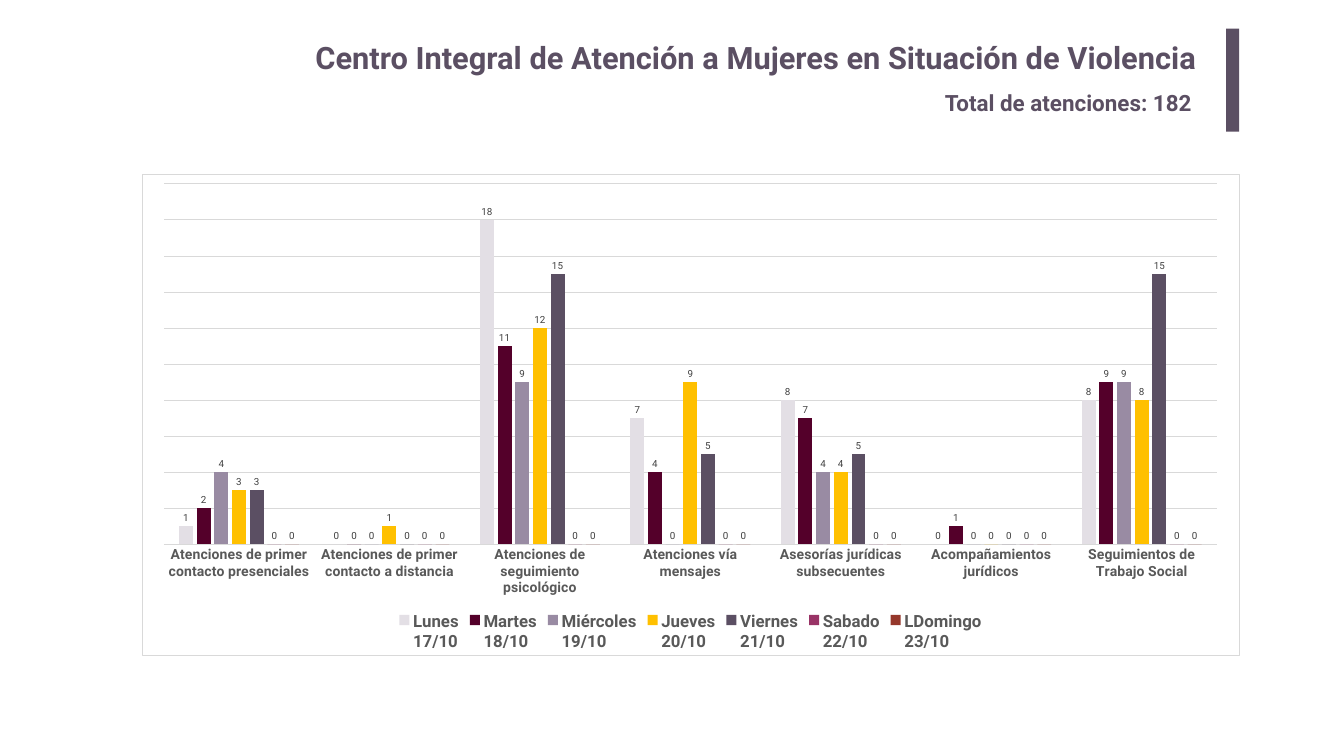
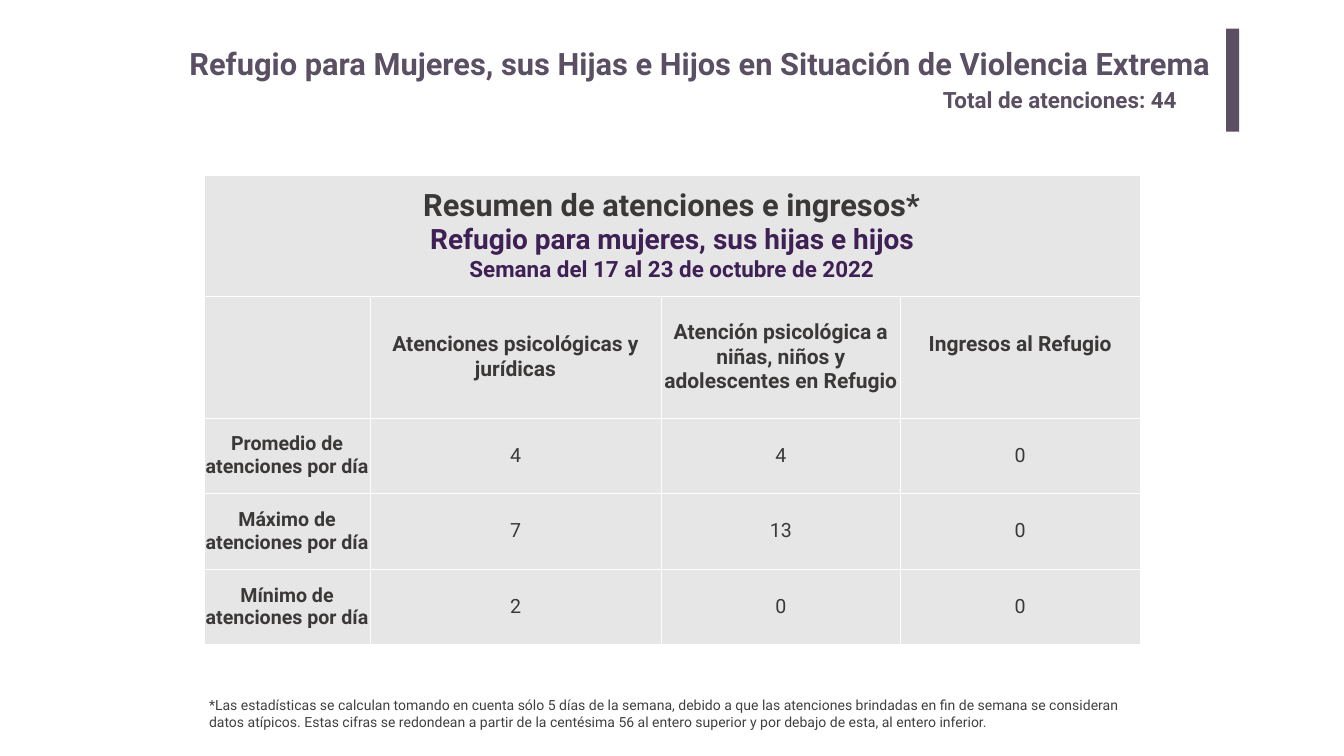
import pptx
import pptx.chart.data
import pptx.dml.color
import pptx.enum.chart
import pptx.enum.shapes
import pptx.enum.text
import pptx.oxml
import pptx.oxml.ns
import pptx.util

EMU_PER_PX = 9144  # 100 px to the inch
FONT = "Roboto"
COLORS = {
    "accent": "5B4F63",
    "rule": "D9D9D9",
    "axis": "595959",
    "note": "404040",
    "white": "FFFFFF",
    "cell": "E7E6E6",
    "ink": "3B3838",
    "purple": "3E2054",
}
DAYS = [
    ("Lunes\n17/10", "E3DFE5", (1, 0, 18, 7, 8, 0, 8)),
    ("Martes\n18/10", "54002A", (2, 0, 11, 4, 7, 1, 9)),
    ("Miércoles\n19/10", "998BA3", (4, 0, 9, 0, 4, 0, 9)),
    ("Jueves\n20/10", "FFC000", (3, 1, 12, 9, 4, 0, 8)),
    ("Viernes\n21/10", "5B4F63", (3, 0, 15, 5, 5, 0, 15)),
    ("Sabado\n22/10", "993366", (0,) * 7),
    ("LDomingo\n23/10", "95372B", (0,) * 7),
]
SERVICES = [
    "Atenciones de primer contacto presenciales",
    "Atenciones de primer contacto a distancia",
    "Atenciones de seguimiento psicológico",
    "Atenciones vía mensajes",
    "Asesorías jurídicas subsecuentes",
    "Acompañamientos jurídicos",
    "Seguimientos de Trabajo Social",
]
SUMMARY_HEADING = [
    ("Resumen de atenciones e ingresos*", 44, "ink"),
    ("Refugio para mujeres, sus hijas e hijos", 40, "purple"),
    ("Semana del 17 al 23 de octubre de 2022", 32, "purple"),
]
SUMMARY_ROWS = [
    ("", "Atenciones psicológicas y jurídicas",
     "Atención psicológica a niñas, niños y adolescentes en Refugio",
     "Ingresos al Refugio"),
    ("Promedio de atenciones por día", "4", "4", "0"),
    ("Máximo de atenciones por día", "7", "13", "0"),
    ("Mínimo de atenciones por día", "2", "0", "0"),
]
FOOTNOTE = (
    "*Las estadísticas se calculan tomando en cuenta sólo 5 días de la semana, "
    "debido a que las atenciones brindadas en fin de semana se consideran datos "
    "atípicos. Estas cifras se redondean a partir de la centésima 56 al entero "
    "superior y por debajo de esta, al entero inferior."
)
ALIGN = pptx.enum.text.PP_ALIGN


def px(length):
    return pptx.util.Emu(length * EMU_PER_PX)


def rgb(hex_color):
    return pptx.dml.color.RGBColor.from_string(hex_color)


def style_font(font, size, color, bold=False):
    font.name = FONT
    font.size = pptx.util.Pt(size)
    font.bold = bold
    font.color.rgb = rgb(COLORS[color])


def write(paragraph, text, size=32, color="accent", bold=True, align=ALIGN.LEFT):
    paragraph.alignment = align
    run = paragraph.add_run()
    run.text = text
    style_font(run.font, size, color, bold)


def line_xml(tag, color, points):
    """Outline element with the given tag, as used by chart areas and cells."""
    return pptx.oxml.parse_xml(
        f'<{tag} {pptx.oxml.ns.nsdecls("a")} w="{points * 12700:.0f}">'
        f'<a:solidFill><a:srgbClr val="{COLORS[color]}"/></a:solidFill></{tag}>')


class Deck:
    def __init__(self, width, height):
        self.presentation = pptx.Presentation()
        self.presentation.slide_width = px(width)
        self.presentation.slide_height = px(height)
        self.slide = None

    def add_slide(self, title, box, align, inset):
        layout = self.presentation.slide_layouts[5]
        self.slide = self.presentation.slides.add_slide(layout)
        heading = self.slide.shapes.title
        heading.left, heading.top, heading.width, heading.height = map(px, box)
        self.set_frame(heading.text_frame, inset)
        write(heading.text_frame.paragraphs[0], title, size=44, align=align)
        self.bar(2433, 57, 26, 204)

    @staticmethod
    def set_frame(frame, inset):
        frame.word_wrap = True
        frame.auto_size = pptx.enum.text.MSO_AUTO_SIZE.NONE
        frame.vertical_anchor = pptx.enum.text.MSO_ANCHOR.TOP
        frame.margin_left = frame.margin_right = px(2 * inset)
        frame.margin_top = frame.margin_bottom = px(inset)

    def bar(self, *box):
        bar = self.slide.shapes.add_shape(
            pptx.enum.shapes.MSO_SHAPE.RECTANGLE, *map(px, box))
        bar.shadow.inherit = False
        bar.fill.solid()
        bar.fill.fore_color.rgb = rgb(COLORS["accent"])
        bar.line.fill.background()

    def text(self, text, box, **style):
        frame = self.slide.shapes.add_textbox(*map(px, box)).text_frame
        self.set_frame(frame, 5)
        write(frame.paragraphs[0], text, **style)

    def column_chart(self, categories, series, box):
        data = pptx.chart.data.CategoryChartData(number_format="0")
        data.categories = categories
        for name, _, values in series:
            data.add_series(name, values)
        kinds = pptx.enum.chart
        chart = self.slide.shapes.add_chart(
            kinds.XL_CHART_TYPE.COLUMN_CLUSTERED, *map(px, box), data).chart
        chart.has_title = False
        style_font(chart.font, 10, "note")

        plot = chart.plots[0]
        plot.gap_width, plot.overlap = 219, -27
        plot.vary_by_categories = False
        for day, (_, color, _) in zip(plot.series, series):
            day.format.fill.solid()
            day.format.fill.fore_color.rgb = rgb(color)
            day.invert_if_negative = False
            labels = day.data_labels
            labels.show_value = True
            labels.position = kinds.XL_LABEL_POSITION.OUTSIDE_END
            style_font(labels.font, 14, "note")

        services, counts = chart.category_axis, chart.value_axis
        services.major_tick_mark = kinds.XL_TICK_MARK.NONE
        style_font(services.tick_labels.font, 20, "axis", bold=True)
        counts.visible = False
        counts.has_major_gridlines = True
        counts.minimum_scale, counts.maximum_scale, counts.major_unit = 0, 20, 2
        for line in (services.format.line, counts.major_gridlines.format.line):
            line.color.rgb = rgb(COLORS["rule"])
            line.width = pptx.util.Pt(0.75)

        chart.has_legend = True
        chart.legend.position = kinds.XL_LEGEND_POSITION.BOTTOM
        chart.legend.include_in_layout = False
        style_font(chart.legend.font, 24, "axis", bold=True)
        self.frame_chart(chart)

    @staticmethod
    def frame_chart(chart):
        """Fill and outline the chart area and fix the place of the plot."""
        qn, nsdecls = pptx.oxml.ns.qn, pptx.oxml.ns.nsdecls
        area = pptx.oxml.parse_xml(
            f'<c:spPr {nsdecls("c", "a")}><a:solidFill>'
            f'<a:srgbClr val="{COLORS["white"]}"/></a:solidFill></c:spPr>')
        area.append(line_xml("a:ln", "rule", 0.75))
        body = chart.element.find(qn("c:chart"))
        body.addnext(area)
        plot_area = body.find(qn("c:plotArea"))
        for layout in plot_area.findall(qn("c:layout")):
            plot_area.remove(layout)
        sizes = "".join(f'<c:{key} val="{share}"/>' for key, share in
                        (("x", 0.02), ("y", 0.02), ("w", 0.96), ("h", 0.75)))
        plot_area.insert(0, pptx.oxml.parse_xml(
            f'<c:layout {nsdecls("c")}><c:manualLayout>'
            '<c:layoutTarget val="inner"/><c:xMode val="edge"/>'
            f'<c:yMode val="edge"/>{sizes}</c:manualLayout></c:layout>'))

    def table(self, left, top, widths, heights):
        table = self.slide.shapes.add_table(
            len(heights), len(widths), px(left), px(top),
            px(sum(widths)), px(sum(heights))).table
        table.first_row = table.horz_banding = False
        for column, width in zip(table.columns, widths):
            column.width = px(width)
        for row, height in zip(table.rows, heights):
            row.height = px(height)
        for cell in table.iter_cells():
            cell.fill.solid()
            cell.fill.fore_color.rgb = rgb(COLORS["cell"])
            cell.vertical_anchor = pptx.enum.text.MSO_ANCHOR.MIDDLE
            cell.margin_left = cell.margin_right = 0
            cell.margin_top = cell.margin_bottom = 0
            properties = cell._tc.get_or_add_tcPr()
            for index, side in enumerate("LRTB"):
                properties.insert(index, line_xml(f"a:ln{side}", "white", 1))
        return table


def add_summary(deck):
    table = deck.table(405, 347, (329, 578, 475, 475), (240, 242, 150, 150, 150))
    heading = table.cell(0, 0)
    heading.merge(table.cell(0, 3))
    frame = heading.text_frame
    for index, (text, size, color) in enumerate(SUMMARY_HEADING):
        paragraph = frame.add_paragraph() if index else frame.paragraphs[0]
        write(paragraph, text, size=size, color=color, align=ALIGN.CENTER)
    for row, texts in enumerate(SUMMARY_ROWS, start=1):
        for column, text in enumerate(texts):
            if text:
                write(table.cell(row, column).text_frame.paragraphs[0], text,
                      size=30 if row == 1 else 28, color="ink",
                      bold=row == 1 or column == 0, align=ALIGN.CENTER)
    table.cell(1, 3).margin_bottom = px(49)


def main():
    deck = Deck(2667, 1500)

    deck.add_slide("Centro Integral de Atención a Mujeres en Situación de Violencia",
                   (366, 67, 2030, 102), ALIGN.RIGHT, inset=10)
    deck.text("Total de atenciones: 182", (1865, 171, 531, 65))
    deck.column_chart(SERVICES, DAYS, (281, 345, 2178, 955))

    deck.add_slide("Refugio para Mujeres, sus Hijas e Hijos en Situación de Violencia Extrema",
                   (366, 84, 2073, 84), ALIGN.LEFT, inset=5)
    deck.text("Total de atenciones: 44", (1861, 165, 535, 64))
    add_summary(deck)
    deck.text(FOOTNOTE, (405, 1377, 1856, 77), size=20, color="note", bold=False)

    deck.presentation.save("out.pptx")


if __name__ == "__main__":
    main()
